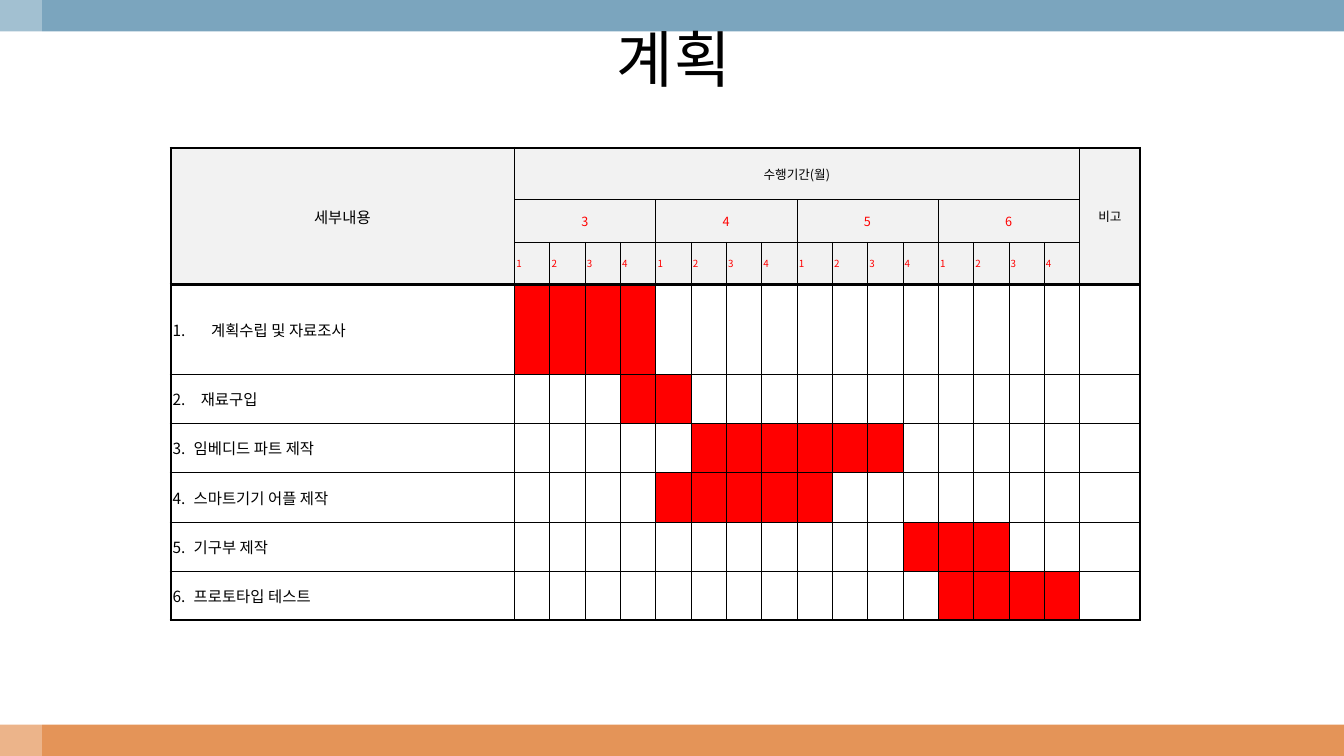
from pptx import Presentation
from pptx import util as u
from pptx.dml.color import RGBColor
from pptx.enum import shapes, text
from pptx.oxml.ns import qn
from lxml import etree

# Content
TITLE = "계획"
TASK_HEAD, PERIOD_HEAD, NOTE_HEAD = "세부내용", "수행기간(월)", "비고"
MONTHS = ["3", "4", "5", "6"]
WEEKS = ["1", "2", "3", "4"]
# task, first week, last week (counted over all months), number indent in cm
TASKS = [
    ("계획수립 및 자료조사", 1, 4, 0.97),
    ("재료구입", 4, 5, 0.71),
    ("임베디드 파트 제작", 6, 11, 0.53),
    ("스마트기기 어플 제작", 5, 9, 0.53),
    ("기구부 제작", 12, 14, 0.53),
    ("프로토타입 테스트", 13, 16, 0.53),
]

# Format
BLACK, RED, WHITE, GREY = "000000", "FF0000", "FFFFFF", "F2F2F2"
BLUE, ORANGE = "7BA5BE", "E49458"
KOREAN, SERIF = "Noto Sans CJK KR", "TeX Gyre Schola"
THIN, OUTER, HEAD_RULE = 0.28, 1.7, 1.98
PAGE_W, PAGE_H, BAR_H, BAND_W = 33.87, 19.05, 0.79, 1.06
HEAD_HEIGHTS = [1.3, 1.07, 1.07]
TASK_HEIGHTS = [2.26] + [1.24] * (len(TASKS) - 1)
WEEK_COUNT = len(MONTHS) * len(WEEKS)
WIDTHS = [8.66] + [0.89] * WEEK_COUNT + [1.54]
HEIGHTS = HEAD_HEIGHTS + TASK_HEIGHTS
HEAD_ROWS, NOTE_COL = len(HEAD_HEIGHTS), WEEK_COUNT + 1
CENTER, JUSTIFY = text.PP_ALIGN.CENTER, text.PP_ALIGN.JUSTIFY


def rgb(code):
    return RGBColor.from_string(code)


def paint(part, code):
    part.fill.solid()
    part.fill.fore_color.rgb = rgb(code)


def write(frame, words, size=9, color=BLACK, font=KOREAN, align=CENTER,
          spacing=0, number=None, indent=0):
    paragraph = frame.paragraphs[0]
    paragraph.alignment = align
    run = paragraph.add_run()
    run.text = words
    run.font.size = u.Pt(size)
    run.font.color.rgb = rgb(color)
    run.font.name = font
    props = run.font._element
    etree.SubElement(props, qn("a:ea"), typeface=KOREAN)
    if spacing:
        props.set("spc", str(spacing * 100))
    if number:
        layout = paragraph._p.get_or_add_pPr()
        layout.set("marL", str(u.Cm(indent)))
        layout.set("indent", str(-u.Cm(indent)))
        etree.SubElement(layout, qn("a:buFont"), typeface=KOREAN)
        etree.SubElement(layout, qn("a:buAutoNum"), type="arabicPeriod",
                         startAt=str(number))


def add_bar(slide, left, top, width, height, color, opacity=None):
    bar = slide.shapes.add_shape(shapes.MSO_SHAPE.RECTANGLE, u.Cm(left),
                                 u.Cm(top), u.Cm(width), u.Cm(height))
    bar.shadow.inherit = False
    bar.line.fill.background()
    paint(bar, color)
    if opacity:
        tone = bar.fill._xPr.find(".//" + qn("a:srgbClr"))
        etree.SubElement(tone, qn("a:alpha"), val=str(opacity * 1000))


def row_rule(edge):
    if edge in (0, len(HEIGHTS)):
        return OUTER
    return HEAD_RULE if edge == HEAD_ROWS else THIN


def col_rule(edge):
    return OUTER if edge in (0, len(WIDTHS)) else THIN


def draw_borders(cell, row, col):
    down = cell.span_height if cell.is_merge_origin else 1
    across = cell.span_width if cell.is_merge_origin else 1
    rules = {"a:lnL": col_rule(col), "a:lnR": col_rule(col + across),
             "a:lnT": row_rule(row), "a:lnB": row_rule(row + down)}
    props = cell._tc.get_or_add_tcPr()
    for side, width in rules.items():
        line = etree.SubElement(props, qn(side), w=str(u.Pt(width)))
        fill = etree.SubElement(line, qn("a:solidFill"))
        etree.SubElement(fill, qn("a:srgbClr"), val=BLACK)


def cell_color(row, col):
    if row < HEAD_ROWS:
        return GREY
    _, first, last, _ = TASKS[row - HEAD_ROWS]
    return RED if first <= col <= last else WHITE


def add_plan(slide):
    plan = slide.shapes.add_table(
        len(HEIGHTS), len(WIDTHS), u.Cm(4.3), u.Cm(3.73),
        u.Cm(sum(WIDTHS)), u.Cm(sum(HEIGHTS))).table
    plan.first_row = plan.horz_banding = False
    for column, width in zip(plan.columns, WIDTHS):
        column.width = u.Cm(width)
    for row, height in zip(plan.rows, HEIGHTS):
        row.height = u.Cm(height)

    # Header
    last_head = HEAD_ROWS - 1
    plan.cell(0, 0).merge(plan.cell(last_head, 0))
    plan.cell(0, 1).merge(plan.cell(0, WEEK_COUNT))
    plan.cell(0, NOTE_COL).merge(plan.cell(last_head, NOTE_COL))
    write(plan.cell(0, 0).text_frame, TASK_HEAD, size=11)
    write(plan.cell(0, 1).text_frame, PERIOD_HEAD)
    write(plan.cell(0, NOTE_COL).text_frame, NOTE_HEAD)
    for m, month in enumerate(MONTHS):
        start = 1 + m * len(WEEKS)
        plan.cell(1, start).merge(plan.cell(1, start + len(WEEKS) - 1))
        write(plan.cell(1, start).text_frame, month, color=RED)
        for w, week in enumerate(WEEKS):
            write(plan.cell(2, start + w).text_frame, week, size=7,
                  color=RED, align=JUSTIFY)

    # Tasks
    for t, (task, _, _, indent) in enumerate(TASKS):
        write(plan.cell(HEAD_ROWS + t, 0).text_frame, task, size=11,
              align=JUSTIFY, number=t + 1, indent=indent)

    # Borders and fills
    for row in range(len(HEIGHTS)):
        for col in range(len(WIDTHS)):
            cell = plan.cell(row, col)
            cell.vertical_anchor = text.MSO_ANCHOR.MIDDLE
            cell.margin_left = cell.margin_right = u.Cm(0.05)
            cell.margin_top = cell.margin_bottom = u.Cm(0.05)
            if not cell.is_spanned:
                draw_borders(cell, row, col)
            paint(cell, cell_color(row, col))


def main():
    deck = Presentation()
    deck.slide_width, deck.slide_height = u.Cm(PAGE_W), u.Cm(PAGE_H)
    slide = deck.slides.add_slide(deck.slide_layouts[5])

    # Bars at the edges
    add_bar(slide, 0, PAGE_H - BAR_H, PAGE_W, BAR_H, ORANGE)
    add_bar(slide, 0, 0, PAGE_W, BAR_H, BLUE)
    add_bar(slide, 0, 0, BAND_W, PAGE_H, WHITE, opacity=30)

    # Title, in front of the bars
    title = slide.shapes.title
    title.left, title.top = u.Cm(2.39), u.Cm(-0.38)
    title.width, title.height = u.Cm(29.21), u.Cm(3.68)
    title.text_frame.vertical_anchor = text.MSO_ANCHOR.MIDDLE
    write(title.text_frame, TITLE, size=44, font=SERIF, spacing=1)
    title.element.getparent().append(title.element)

    add_plan(slide)
    deck.save("out.pptx")


if __name__ == "__main__":
    main()
